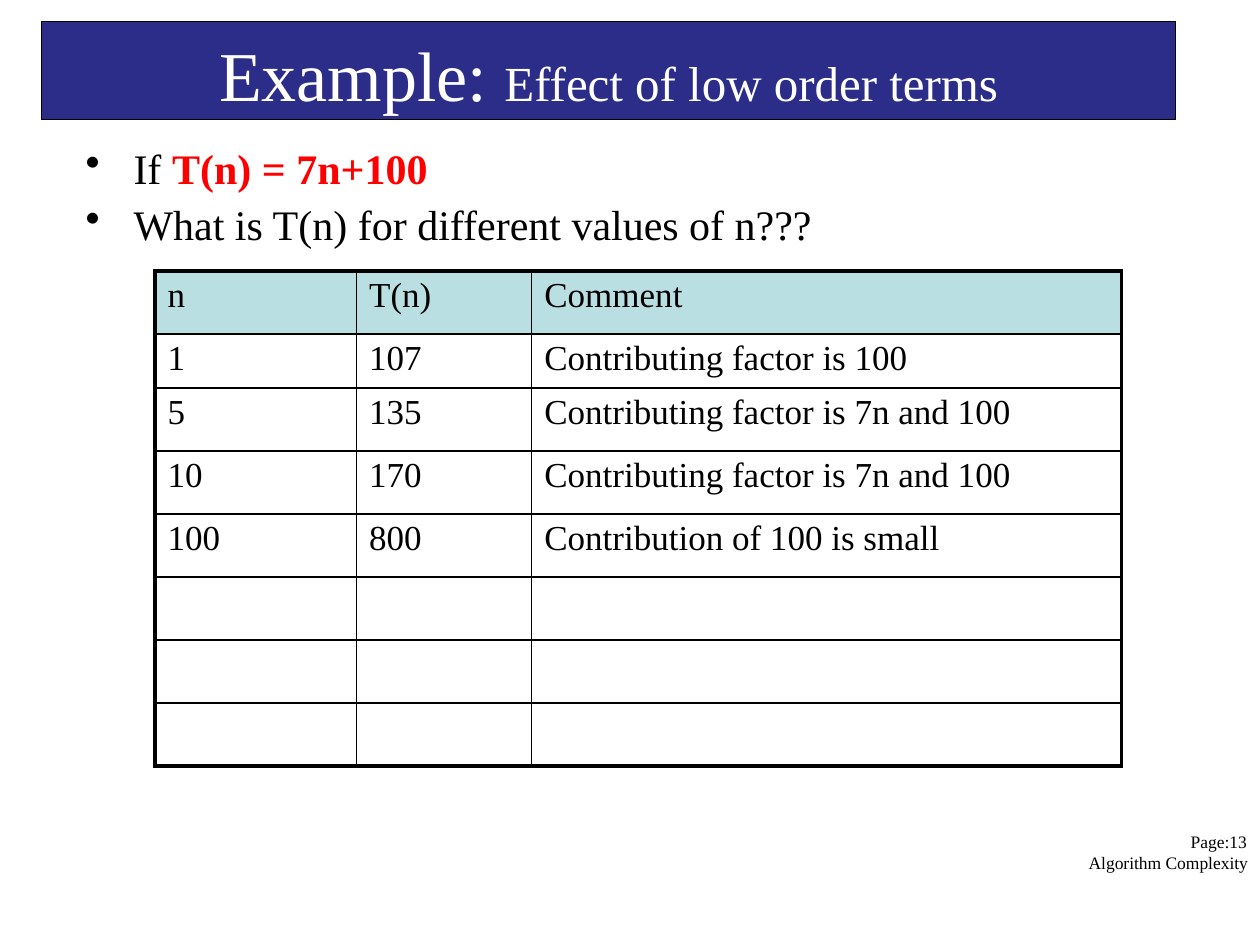
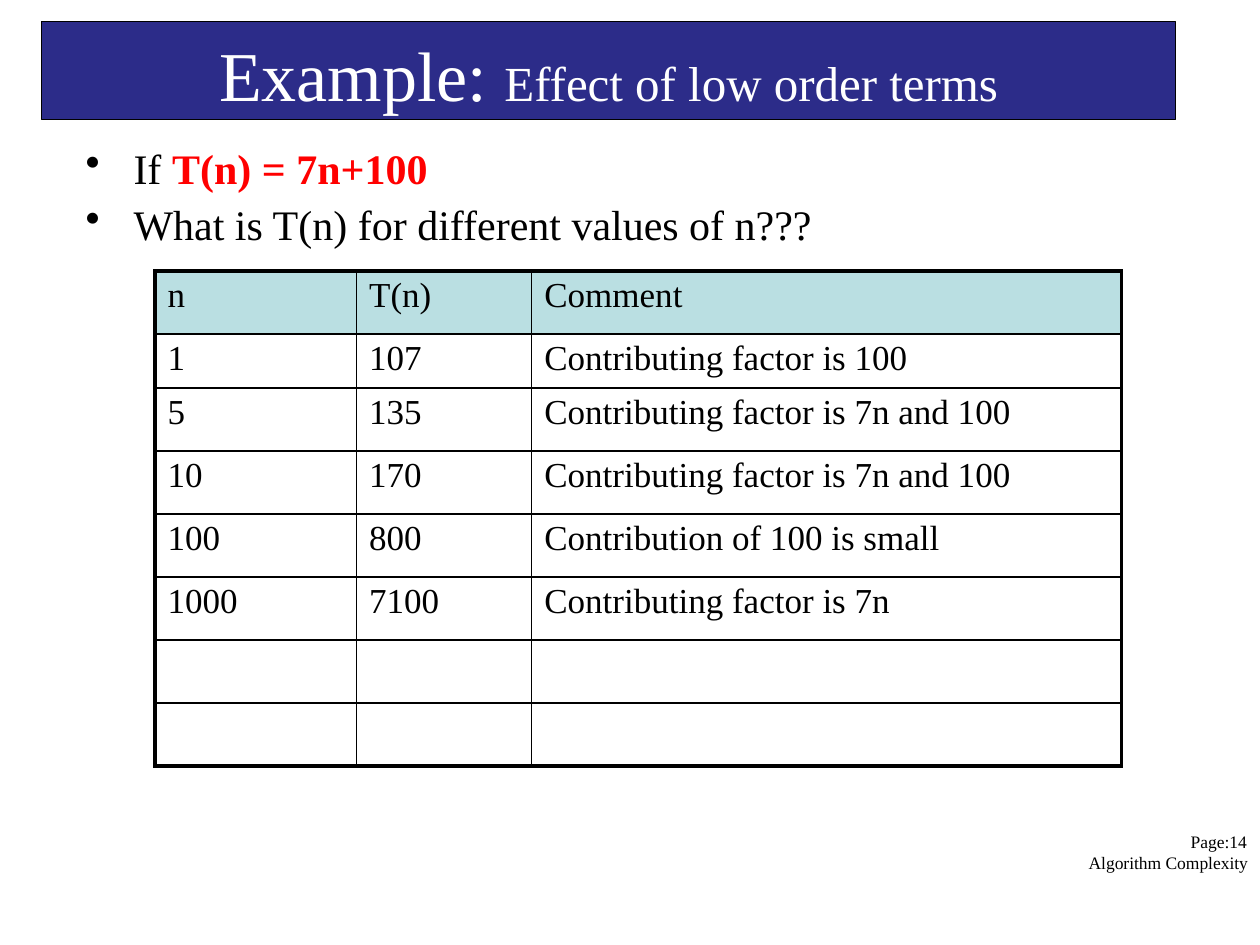
"""Build two slides on the effect of low order terms in T(n) = 7n+100."""
from lxml import etree
from pptx import Presentation
from pptx.dml.color import RGBColor
from pptx.enum import shapes, text
from pptx.oxml import ns
from pptx.util import Inches, Pt

NAVY = RGBColor(0x2C, 0x2C, 0x89)
PALE_TEAL = RGBColor(0xBA, 0xDF, 0xE2)
RED = RGBColor(0xFF, 0x00, 0x00)
BLACK = RGBColor(0x00, 0x00, 0x00)
WHITE = RGBColor(0xFF, 0xFF, 0xFF)
FONT = "Times New Roman"
THIN, THICK = Pt(1), Pt(2.25)

COLUMN_WIDTHS = [1.6, 1.39, 4.68]
ROW_HEIGHTS = [0.5, 0.43] + [0.5] * 6
HEADINGS = ("n", "T(n)", "Comment")
GROWTH = [
    ("1", "107", "Contributing factor is 100"),
    ("5", "135", "Contributing factor is 7n and 100"),
    ("10", "170", "Contributing factor is 7n and 100"),
    ("100", "800", "Contribution of 100 is small"),
    ("1000", "7100", "Contributing factor is 7n"),
]
PAGES = [(13, 4), (14, 5)]


def style(paragraph, size, color):
    paragraph.font.name = FONT
    paragraph.font.size = Pt(size)
    paragraph.font.color.rgb = color


def set_frame(frame, top):
    frame.word_wrap = True
    frame.vertical_anchor = text.MSO_ANCHOR.TOP
    frame.margin_left = frame.margin_right = frame.margin_bottom = 0
    frame.margin_top = Inches(top)


prs = Presentation()
prs.slide_width, prs.slide_height = Inches(10), Inches(7.5)

for page, known_rows in PAGES:
    slide = prs.slides.add_slide(prs.slide_layouts[6])

    footer = slide.shapes.add_textbox(Inches(0.42), Inches(6.1), Inches(9.54), Inches(1.33))
    set_frame(footer.text_frame, 0.65)
    line = footer.text_frame.paragraphs[0]
    properties = line._p.get_or_add_pPr()
    properties.set("marL", str(Inches(8.22)))
    properties.set("indent", str(Inches(0.81)))
    line.line_spacing = Pt(12)
    style(line, 10, BLACK)
    line.add_run().text = f"Page:{page} Algorithm Complexity"

    band = slide.shapes.add_shape(
        shapes.MSO_SHAPE.RECTANGLE, Inches(0.33), Inches(0.17), Inches(9), Inches(0.78))
    band.shadow.inherit = False
    band.fill.solid()
    band.fill.fore_color.rgb = NAVY
    band.line.color.rgb = BLACK
    band.line.width = Pt(0.75)
    set_frame(band.text_frame, 0.08)
    title = band.text_frame.paragraphs[0]
    title.alignment = text.PP_ALIGN.CENTER
    style(title, 40, WHITE)
    title.add_run().text = "Example: "
    subject = title.add_run()
    subject.text = "Effect of low order terms"
    subject.font.size = Pt(28)

    question = slide.shapes.add_textbox(Inches(0.67), Inches(1.03), Inches(5.8), Inches(0.91))
    set_frame(question.text_frame, 0.1)
    premise = question.text_frame.paragraphs[0]
    prompt = question.text_frame.add_paragraph()
    for bullet in (premise, prompt):
        properties = bullet._p.get_or_add_pPr()
        properties.set("marL", str(Inches(0.39)))
        properties.set("indent", str(Inches(-0.38)))
        etree.SubElement(properties, ns.qn("a:buChar")).set("char", "•")
        style(bullet, 24, BLACK)
    premise.add_run().text = "If "
    formula = premise.add_run()
    formula.text = "T(n) = 7n+100"
    formula.font.bold = True
    formula.font.color.rgb = RED
    prompt.space_before = Pt(3)
    prompt.add_run().text = "What is T(n) for different values of n???"

    last_row, last_column = len(ROW_HEIGHTS) - 1, len(COLUMN_WIDTHS) - 1
    table = slide.shapes.add_table(
        len(ROW_HEIGHTS), len(COLUMN_WIDTHS), Inches(1.23), Inches(2.15),
        Inches(sum(COLUMN_WIDTHS)), Inches(sum(ROW_HEIGHTS))).table
    table.first_row = table.horz_banding = False
    for column, width in zip(table.columns, COLUMN_WIDTHS):
        column.width = Inches(width)
    for row, height in zip(table.rows, ROW_HEIGHTS):
        row.height = Inches(height)

    entries = [HEADINGS] + GROWTH[:known_rows]
    entries += [("", "", "")] * (len(ROW_HEIGHTS) - len(entries))
    for r, entry in enumerate(entries):
        for c, value in enumerate(entry):
            cell = table.cell(r, c)
            cell.margin_left, cell.margin_top = Inches(0.1), Inches(0.04)
            cell.margin_right = cell.margin_bottom = 0
            outer_edges = {"lnL": c == 0, "lnR": c == last_column,
                           "lnT": r == 0, "lnB": r == last_row}
            for edge, is_outer in outer_edges.items():
                border = etree.SubElement(cell._tc.get_or_add_tcPr(), ns.qn(f"a:{edge}"))
                border.set("w", str(THICK if is_outer else THIN))
                ink = etree.SubElement(border, ns.qn("a:solidFill"))
                etree.SubElement(ink, ns.qn("a:srgbClr")).set("val", str(BLACK))
            if r == 0:
                cell.fill.solid()
                cell.fill.fore_color.rgb = PALE_TEAL
            else:
                cell.fill.background()
            content = cell.text_frame.paragraphs[0]
            style(content, 20, BLACK)
            if value:
                content.add_run().text = value

prs.save("out.pptx")
